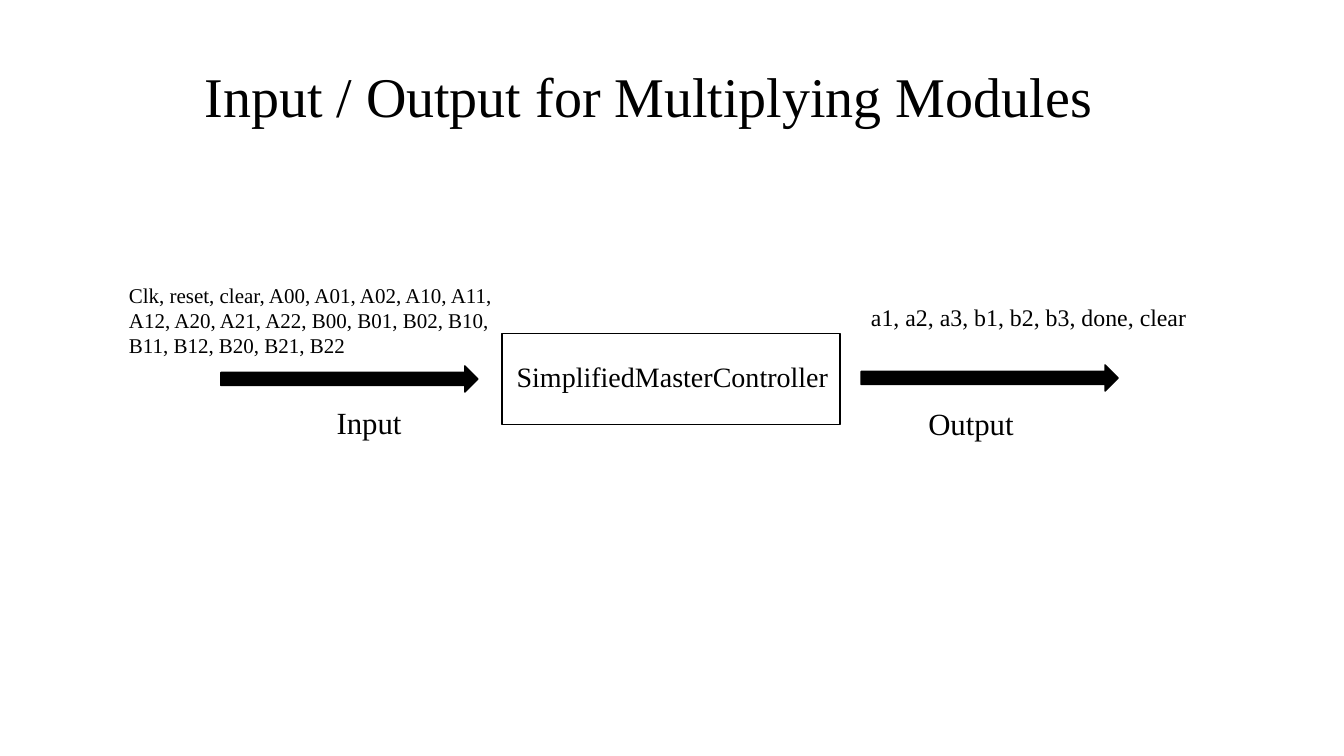
from pptx import Presentation
from pptx.dml.color import RGBColor
from pptx.enum.shapes import MSO_SHAPE
from pptx.enum.text import PP_ALIGN
from pptx.util import Inches, Pt

BLACK = RGBColor(0, 0, 0)
WHITE = RGBColor(255, 255, 255)
RECT = MSO_SHAPE.RECTANGLE
ARROW = MSO_SHAPE.RIGHT_ARROW
LEFT = PP_ALIGN.LEFT
CENTER = PP_ALIGN.CENTER


class Board:
    """Draws text and shapes in one style on the current slide."""

    def __init__(self, slide, font):
        self.slide = slide
        self.font = font

    def text(self, words, size, x, y, w, h, align=LEFT):
        box = self.slide.shapes.add_textbox(Inches(x), Inches(y), Inches(w), Inches(h))
        frame = box.text_frame
        frame.word_wrap = True
        para = frame.paragraphs[0]
        para.alignment = align
        run = para.add_run()
        run.text = words
        run.font.name = self.font
        run.font.size = Pt(size)
        run.font.color.rgb = BLACK

    def shape(self, kind, fill, x, y, w, h):
        item = self.slide.shapes.add_shape(kind, Inches(x), Inches(y), Inches(w), Inches(h))
        item.shadow.inherit = False
        item.fill.solid()
        item.fill.fore_color.rgb = fill
        item.line.color.rgb = BLACK
        item.line.width = Pt(1)

    def port(self, name, arrow, label):
        self.shape(ARROW, BLACK, *arrow, 2.55, 0.26)
        self.text(name, 22, *label, 2.18, 0.47, CENTER)


def main():
    deck = Presentation()
    deck.slide_width = Inches(13.33)
    deck.slide_height = Inches(7.5)
    board = Board(deck.slides.add_slide(deck.slide_layouts[6]), "Times New Roman")

    board.text("Input / Output for Multiplying Modules", 40, 1.93, 0.56, 9.47, 0.77)
    board.shape(RECT, WHITE, 4.98, 3.31, 3.35, 0.9)
    board.text("SimplifiedMasterController", 20, 4.98, 3.52, 3.38, 1.35, CENTER)
    board.port("Input", (2.19, 3.63), (2.57, 3.96))
    board.port("Output", (8.54, 3.62), (8.54, 3.97))
    board.text(
        "Clk, reset, clear, A00, A01, A02, A10, A11, A12, A20, A21, A22, "
        "B00, B01, B02, B10, B11, B12, B20, B21, B22",
        15, 1.18, 2.75, 3.85, 0.86,
    )
    board.text("a1, a2, a3, b1, b2, b3, done, clear", 17, 8.54, 2.95, 3.86, 0.39)
    deck.save("out.pptx")


if __name__ == "__main__":
    main()
